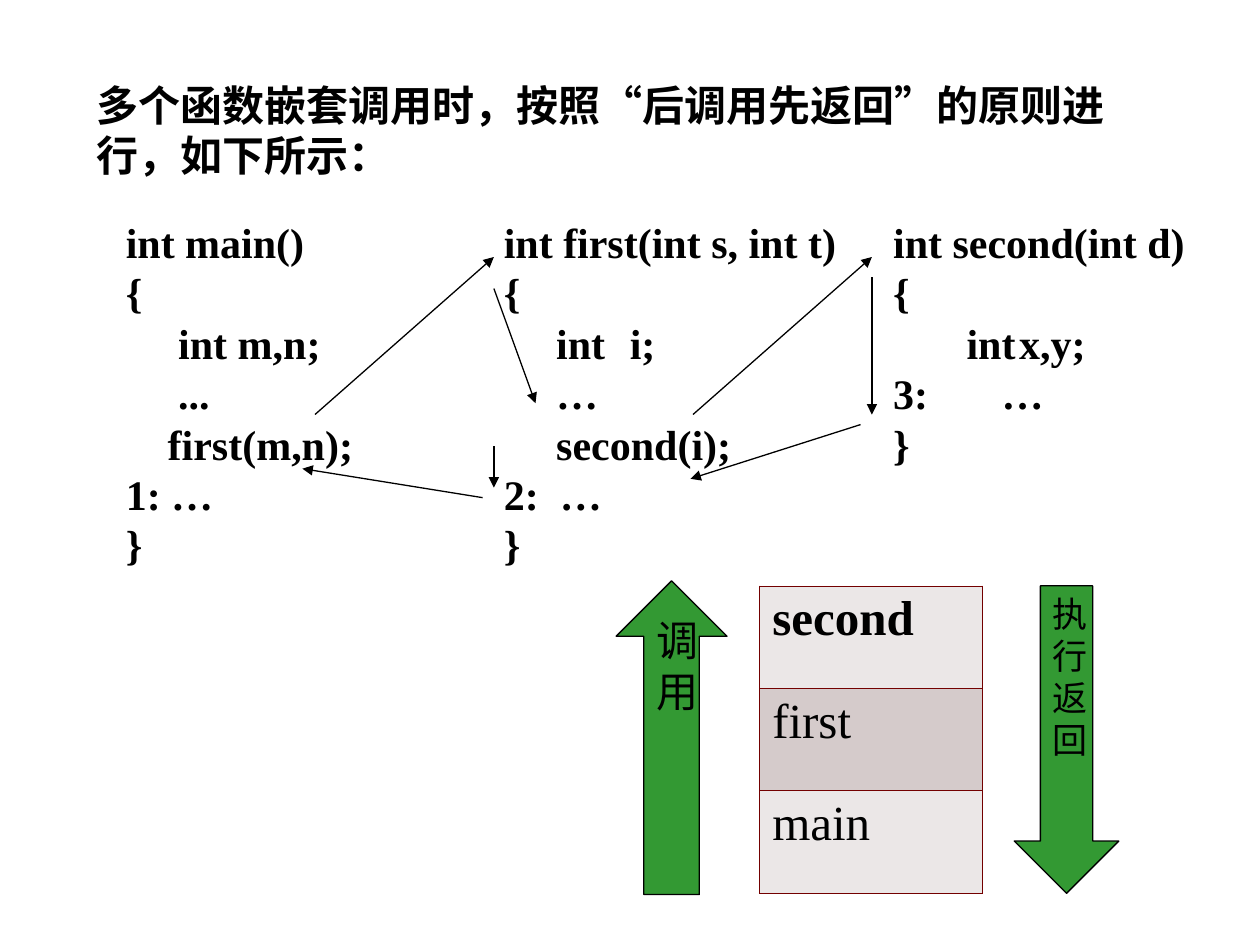
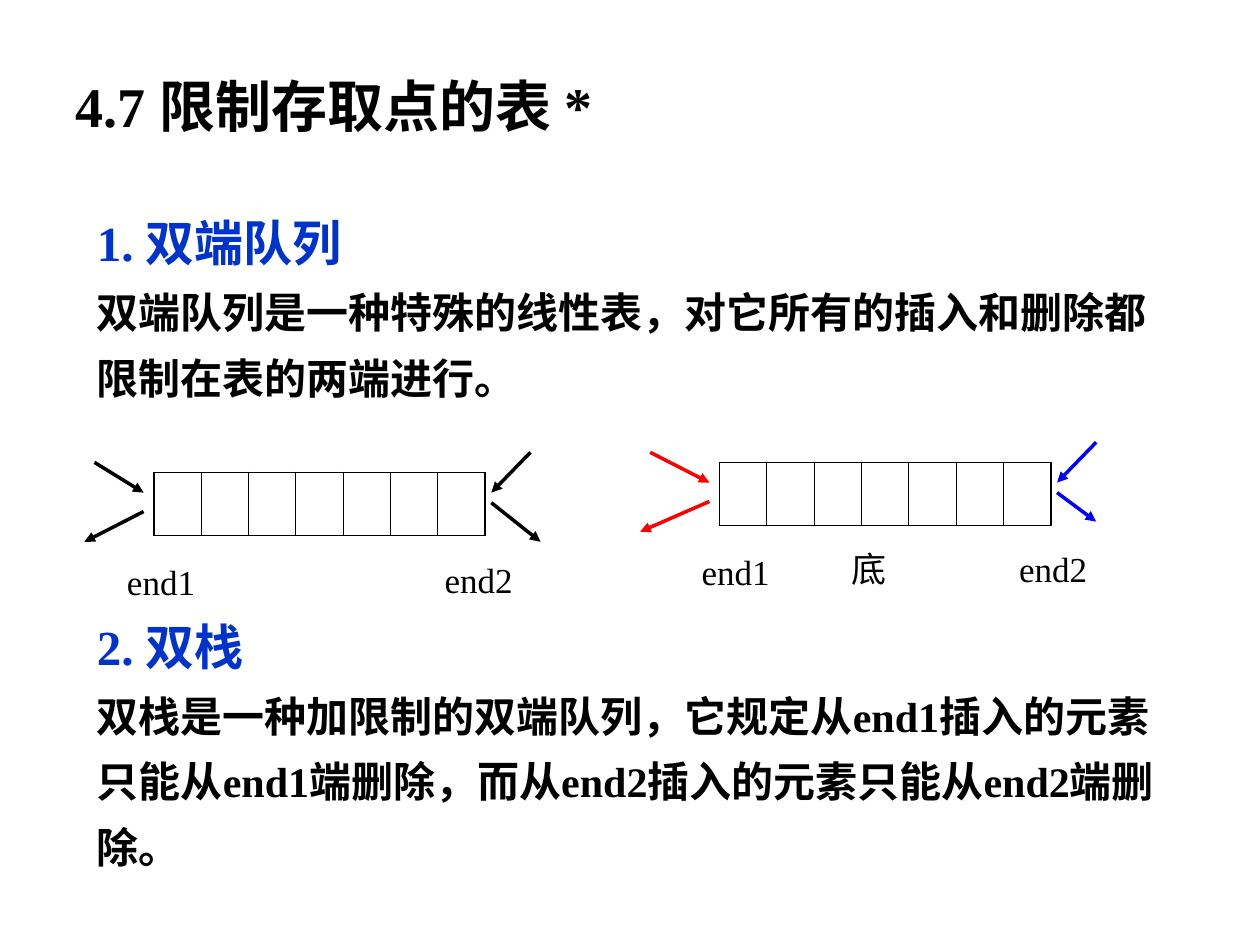
from lxml import etree
from pptx import Presentation
from pptx.dml.color import RGBColor
from pptx.enum.shapes import MSO_CONNECTOR, MSO_SHAPE
from pptx.enum.text import MSO_ANCHOR, PP_ALIGN
from pptx.oxml.ns import qn
from pptx.util import Inches, Pt

LINE = MSO_CONNECTOR.STRAIGHT
UP, DOWN = MSO_SHAPE.UP_ARROW, MSO_SHAPE.DOWN_ARROW
TOP, MIDDLE, LEFT = MSO_ANCHOR.TOP, MSO_ANCHOR.MIDDLE, PP_ALIGN.LEFT

# The slide is a grid of 10 columns by 7.5 rows, one inch each.
WIDE, HIGH = 10, 7.5
FONT = "Times New Roman"
BLACK, BLUE, GREEN = "000000", "0033CC", "339933"
PALE, DUSK, WINE = "EBE7E7", "D5CBCB", "730000"
RED, NAVY = "FF0000", "0000FF"

MAIN = """int main()
{
     int m,n;
     ...
    first(m,n);
1: …
}"""
FIRST = """int first(int s, int t)
{
     int \ti;
     …
     second(i);
2:  …
}"""
SECOND = """int second(int d)
{
       int\tx,y;
3:       …
}"""


def color(code):
    return RGBColor.from_string(code)


def grid(*cells):
    return [Inches(cell) for cell in cells]


def style(para, size, bold=False, ink=BLACK):
    para.alignment = LEFT
    for run in para.runs:
        font = run.font
        font.name, font.size, font.bold = FONT, Pt(size), bold
        font.color.rgb = color(ink)


def write(slide, box, text, size, bold=False, wrap=True, anchor=TOP):
    frame = slide.shapes.add_textbox(*grid(*box)).text_frame
    frame.word_wrap = wrap
    frame.vertical_anchor = anchor
    frame.text = text
    for para in frame.paragraphs:
        style(para, size, bold)
    return frame


def arrow(slide, start, end, width, ink=BLACK):
    link = slide.shapes.add_connector(LINE, *grid(*start, *end))
    link.line.width = Pt(width)
    link.line.color.rgb = color(ink)
    etree.SubElement(link.line._get_or_add_ln(), qn("a:tailEnd"), type="triangle")
    etree.SubElement(link._element.spPr, qn("a:effectLst"))


def table(slide, box, rows, cols):
    grid_table = slide.shapes.add_table(rows, cols, *grid(*box)).table
    grid_table.first_row = grid_table.horz_banding = False
    return grid_table


def border(cell, ink, left, right, top, bottom):
    """Draw the four edges of a cell, with widths in points."""
    props = cell._tc.get_or_add_tcPr()
    for side, width in zip("LRTB", (left, right, top, bottom)):
        edge = etree.SubElement(props, qn(f"a:ln{side}"), w=str(Pt(width)))
        fill = etree.SubElement(edge, qn("a:solidFill"))
        etree.SubElement(fill, qn("a:srgbClr"), val=ink)


def block(slide, kind, box, text, size):
    shape = slide.shapes.add_shape(kind, *grid(*box))
    shape.shadow.inherit = False
    shape.fill.solid()
    shape.fill.fore_color.rgb = color(GREEN)
    shape.line.color.rgb = color(BLACK)
    shape.line.width = Pt(0.75)
    frame = shape.text_frame
    frame.word_wrap = True
    frame.vertical_anchor = TOP
    frame.text = text
    style(frame.paragraphs[0], size)


def calls(slide, left, top):
    """Three code listings joined by call and return arrows."""
    for shift, width, high, code in ((0, 2.2, 2.9, MAIN), (3, 2.95, 2.9, FIRST),
                                     (6.09, 2.7, 2.1, SECOND)):
        write(slide, (left + shift, top, width, high), code, 24, True, False)
    jumps = [((1.6 + step, 1.62), (3.02 + step, 0.37)) for step in (0, 3)]
    runs = [((3.02, 0.62), (3.35, 1.53)), ((6.02, 0.53), (6.02, 1.62)),
            ((3.02, 1.87), (3.02, 2.2))]
    backs = [((5.93, 1.7), (4.58, 2.13)), ((2.93, 2.28), (1.5, 2.05))]
    for ends in jumps + runs + backs:
        arrow(slide, *[(left + x, top + y) for x, y in ends], 0.75)


def stack(slide, left, top, width, high):
    """The call stack between its two block arrows."""
    names = ("second", "first", "main")
    frames = table(slide, (left, top, width, high), len(names), 1)
    for row, name in enumerate(names):
        cell = frames.cell(row, 0)
        cell.text = name
        style(cell.text_frame.paragraphs[0], 28, row == 0)
        border(cell, WINE, 0.45, 0.45, 0.45, 0.45)
        cell.fill.solid()
        cell.fill.fore_color.rgb = color(DUSK if row % 2 else PALE)
    block(slide, UP, (left - 1.14, top - 0.04, 0.88, high + 0.05), "调用", 24)
    block(slide, DOWN, (left + width + 0.25, top, 0.83, high), "执行返回", 20)


def deque(slide, left, top, reach, exit, inks, shift, marks):
    """A row of cells with an arrow in and out at each end, and labels below."""
    count, width = 7, 2.63
    cells = table(slide, (left, top, width, 0.5), 1, count)
    for col in range(count):
        cell = cells.cell(0, col)
        border(cell, BLACK, 0.45 if col else 1.08,
               0.45 if col < count - 1 else 1.08, 1.08, 1.08)
        cell.fill.background()
    near, far = -0.08, width + 0.05
    paths = (((-reach, -0.08), (near, 0.16), inks[0]),
             ((near, 0.31), (near - reach, 0.55), inks[0]),
             ((width + 0.36, -0.16), (far, 0.16), inks[1]),
             ((far, 0.24), exit, inks[1]))
    for start, end, ink in paths:
        arrow(slide, (left + start[0], top + start[1]),
              (left + end[0], top + end[1]), 2, ink)
    for text, x, y, wide in marks:
        write(slide, (left + shift + x, top + y, wide, 0.44), text, 20, wrap=False)


def nested(slide):
    write(slide, (0.67, 0.58, 8.25, 0.9),
          "多个函数嵌套调用时，按照“后调用先返回”的原则进行，如下所示：", 24, True)
    calls(slide, 0.9, 1.67)
    stack(slide, 6.03, 4.65, 1.77, 2.44)


def limited(slide):
    write(slide, (0.5, 0.42, 8.5, 0.83), "4.7 限制存取点的表 *", 32, True,
          anchor=MIDDLE)
    lines = ("1. 双端队列",
             "双端队列是一种特殊的线性表，对它所有的插入和删除都限制在表的两端进行。",
             "2. 双栈",
             "双栈是一种加限制的双端队列，它规定从end1插入的元素只能从end1端删除，"
             "而从end2插入的元素只能从end2端删除。")
    frame = write(slide, (0.67, 1.5, 8.82, 5.47), "\n".join(lines), 24, True)
    for para in frame.paragraphs:
        para.line_spacing = 1.3
    heads = frame.paragraphs[::2]
    for head in heads:
        style(head, 28, True, BLUE)
    heads[1].space_before = Pt(112)

    ends = (("end1", -0.31, 0.65, 0.74), ("end2", 2.21, 0.63, 0.74))
    deque(slide, 1.22, 3.75, 0.47, (3.07, 0.55), (BLACK, BLACK), 0, ends)
    deque(slide, 5.71, 3.67, 0.55, (2.99, 0.47), (RED, NAVY), 0.07,
          ends + (("底", 0.88, 0.63, 0.48),))


def main():
    deck = Presentation()
    deck.slide_width, deck.slide_height = grid(WIDE, HIGH)
    for build in (nested, limited):
        build(deck.slides.add_slide(deck.slide_layouts[6]))
    deck.save("out.pptx")


if __name__ == "__main__":
    main()
